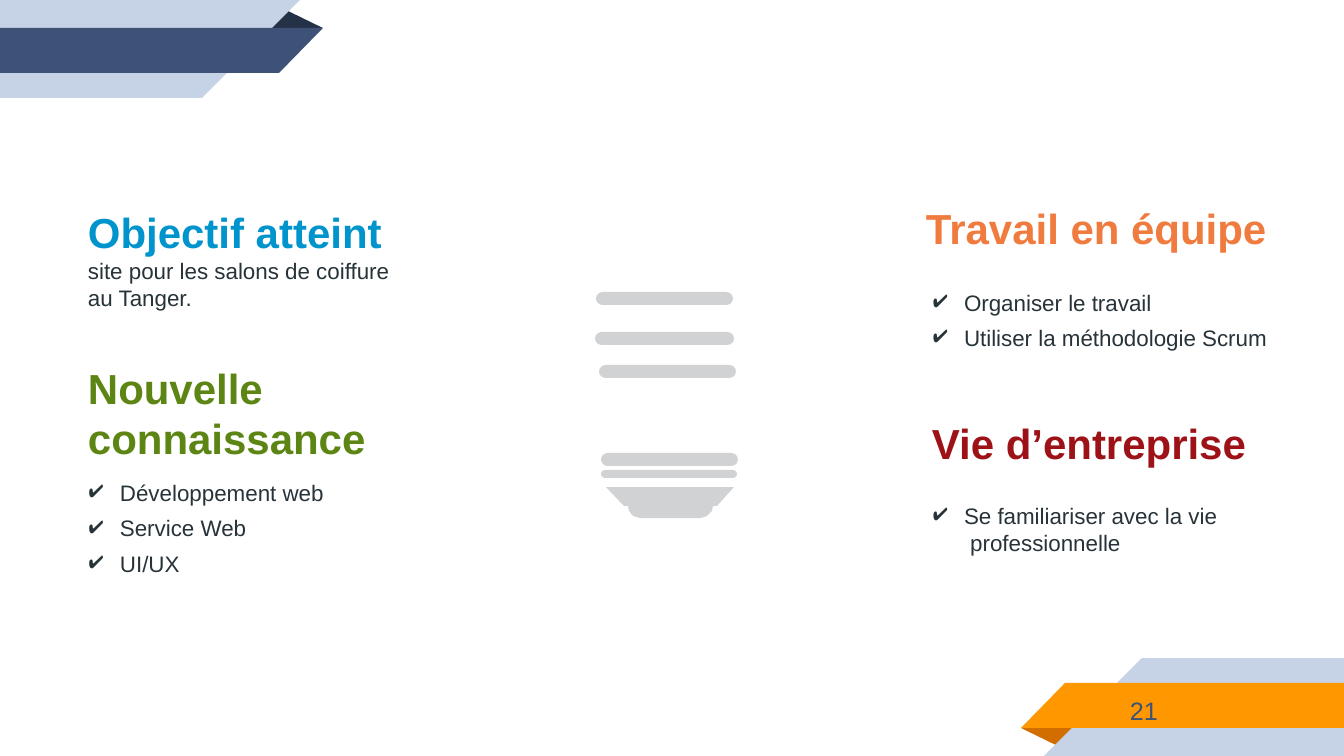
from dataclasses import dataclass

from lxml import etree
from pptx import Presentation
from pptx import util as u
from pptx.dml.color import RGBColor
from pptx.enum import shapes, text
from pptx.oxml.ns import qn

PX = 914400 / 100.8  # EMU in one pixel
WIDE, HIGH = 1344, 756


@dataclass
class Theme:
    font: str = "Arial"
    head: int = 30
    body: int = 16
    page: int = 18
    ink: str = "273339"
    navy: str = "3E5278"
    dusk: str = "253147"
    pale: str = "C6D2E6"
    amber: str = "FF9700"
    rust: str = "D26E00"
    gray: str = "D1D2D3"
    blue: str = "0094CD"
    green: str = "5C8513"
    coral: str = "F07B3E"
    red: str = "9D1217"


def emu(px):
    return u.Emu(round(px * PX))


def para(frame, words, size, color, font, bold=False, above=0, line=None,
         left=1, tick=False):
    """Add one paragraph to a frame; tick gives it a check-mark bullet."""
    item = frame.paragraphs[0]
    if item.runs:
        item = frame.add_paragraph()
    item.text = words
    item.space_before = u.Pt(above)
    if line:
        item.line_spacing = line
    for run in item.runs:
        run.font.name, run.font.size, run.font.bold = font, u.Pt(size), bold
        run.font.color.rgb = RGBColor.from_string(color)
    props = item._p.get_or_add_pPr()
    props.set("marL", str(emu(33 if tick else left)))
    props.set("indent", str(emu(-31 if tick else 0)))
    if tick:
        tint = etree.SubElement(props, qn("a:buClr"))
        etree.SubElement(tint, qn("a:srgbClr"), val=color)
        etree.SubElement(props, qn("a:buChar"), char="\u2714")


class Deck:
    def __init__(self, theme):
        self.theme = theme
        self.show = Presentation()
        self.show.slide_width, self.show.slide_height = emu(WIDE), emu(HIGH)
        self.slide = self.show.slides.add_slide(self.show.slide_layouts[6])

    def paint(self, shape, color):
        shape.shadow.inherit = False
        shape.fill.solid()
        shape.fill.fore_color.rgb = RGBColor.from_string(color)
        shape.line.fill.background()

    def outline(self, points, color):
        pen = self.slide.shapes.build_freeform(*points[0], scale=PX)
        pen.add_line_segments(points[1:], close=True)
        self.paint(pen.convert_to_shape(), color)

    def ribbon(self, fold, band, turn=False):
        parts = (
            ([(284, 9), (266, 28), (323, 28)], fold),
            ([(0, 0), (300, 0), (202, 98), (0, 98)], self.theme.pale),
            ([(0, 28), (323, 28), (279, 73), (0, 73)], band),
        )
        for points, color in parts:
            if turn:
                points = [(WIDE - x, HIGH - y) for x, y in points]
            self.outline(points, color)

    def bar(self, x, y, w, h):
        pill = self.slide.shapes.add_shape(
            shapes.MSO_SHAPE.ROUNDED_RECTANGLE, *map(emu, (x, y, w, h)))
        pill.adjustments[0] = 0.5
        self.paint(pill, self.theme.gray)

    def box(self, x, y, w, h, top=0):
        frame = self.slide.shapes.add_textbox(
            *map(emu, (x, y, w, h))).text_frame
        frame.word_wrap = True
        frame.auto_size = text.MSO_AUTO_SIZE.NONE
        frame.margin_left = frame.margin_right = frame.margin_bottom = 0
        frame.margin_top = emu(top)
        return frame

    def head(self, frame, words, color, above=0):
        para(frame, words, self.theme.head, color, self.theme.font,
             bold=True, above=above)

    def body(self, frame, words, **fmt):
        para(frame, words, self.theme.body, self.theme.ink, self.theme.font,
             **fmt)

    def ticks(self, frame, lines, first=0):
        for i, words in enumerate(lines):
            self.body(frame, words, tick=True, above=6 if i else first)


look = Theme()
deck = Deck(look)

# Corner ribbons: the lower one is the upper one turned half round
deck.ribbon(look.rust, look.amber, turn=True)
deck.ribbon(look.dusk, look.navy)

# Light bulb: threads and base
for x, y, w, h in ((596, 292, 137, 13), (595, 332, 139, 13),
                   (599, 365, 137, 13), (601, 453, 137, 13),
                   (601, 470, 136, 8)):
    deck.bar(x, y, w, h)
deck.outline([(606, 487), (734, 487), (717, 506), (713, 506), (712, 511),
              (707, 516), (701, 518), (640, 518), (633, 516), (629, 511),
              (628, 506), (624, 506)], look.gray)

# Left column
goals = deck.box(87, 190, 322, 392, top=17)
deck.head(goals, "Objectif atteint", look.blue)
deck.body(goals, "site pour les salons de coiffure au Tanger.")
deck.head(goals, "Nouvelle connaissance", look.green, above=36.8)
deck.ticks(goals, ("Développement web", "Service Web", "UI/UX"), first=11.2)

# Right column
team = deck.box(925, 202, 384, 52, top=1)
deck.head(team, "Travail en équipe", look.coral)
tasks = deck.box(931, 279, 338, 74, top=10)
deck.ticks(tasks, ("Organiser le travail", "Utiliser la méthodologie Scrum"))
firm = deck.box(931, 417, 318, 140, top=1)
deck.head(firm, "Vie d’entreprise", look.red)
deck.ticks(firm, ("Se familiariser avec la vie\v professionnelle",),
           first=23.9)

# Page number
page = deck.box(1126, 690, 36, 31)
para(page, "21", look.page, look.navy, look.font, line=1.16, left=4)

deck.show.save("out.pptx")
